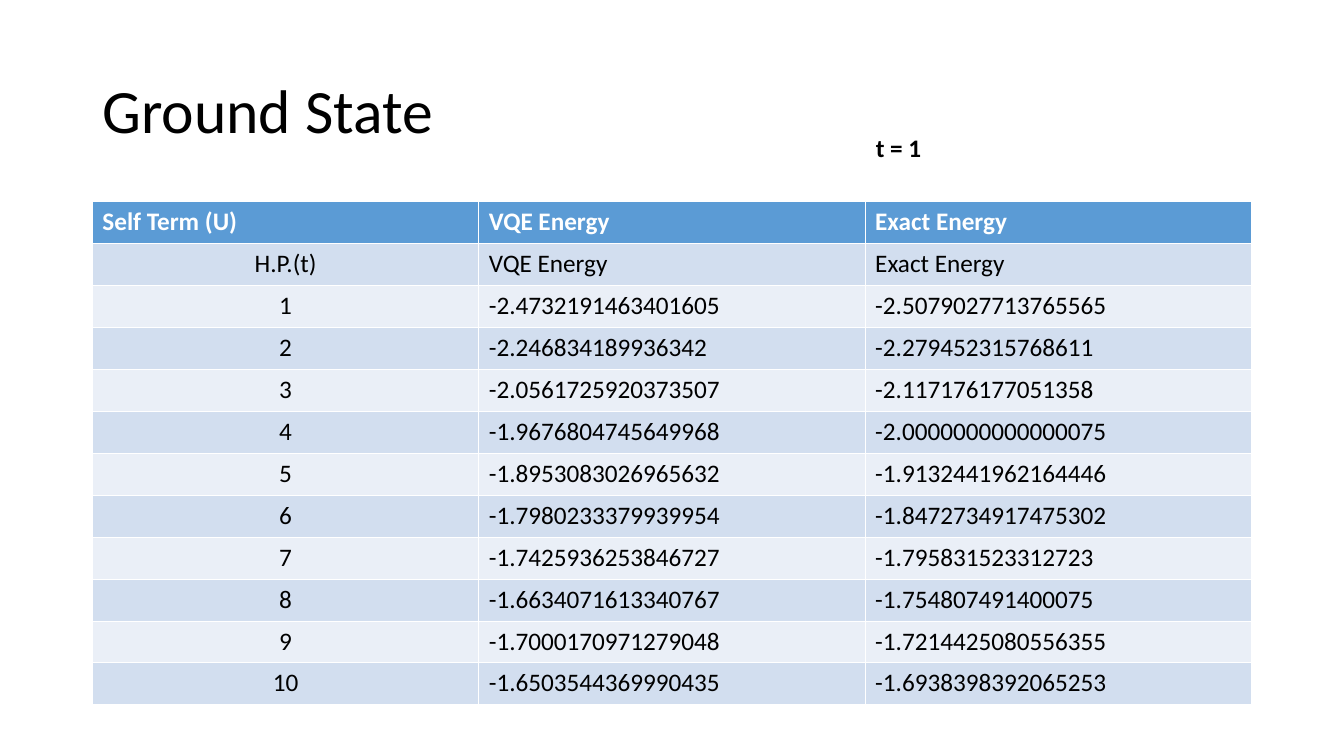
from pptx import Presentation
from pptx import util as u
from pptx.dml.color import RGBColor
from pptx.enum import text

COLORS = {"text": "000000", "header_text": "FFFFFF", "header": "5B9BD5",
          "band_dark": "D2DEEF", "band_light": "EAEFF7"}

ENERGIES = [
    ("Self Term (U)", "VQE Energy", "Exact Energy"),
    ("H.P.(t)", "VQE Energy", "Exact Energy"),
    ("1", "-2.4732191463401605", "-2.5079027713765565"),
    ("2", "-2.246834189936342", "-2.279452315768611"),
    ("3", "-2.0561725920373507", "-2.117176177051358"),
    ("4", "-1.9676804745649968", "-2.0000000000000075"),
    ("5", "-1.8953083026965632", "-1.9132441962164446"),
    ("6", "-1.7980233379939954", "-1.8472734917475302"),
    ("7", "-1.7425936253846727", "-1.795831523312723"),
    ("8", "-1.6634071613340767", "-1.754807491400075"),
    ("9", "-1.7000170971279048", "-1.7214425080556355"),
    ("10", "-1.6503544369990435", "-1.6938398392065253"),
]


class SlideBuilder:
    def __init__(self, s, font="Calibri", size=18):
        self.s, self.font, self.size = s, font, size

    def add_text(self, tf, content, color="text", align=text.PP_ALIGN.LEFT, **fmt):
        p = tf.paragraphs[0]
        p.alignment = align
        r = p.add_run()
        r.text = content
        values = {"name": self.font, "size": u.Pt(self.size), "bold": False, **fmt}
        for name, value in values.items():
            setattr(r.font, name, value)
        r.font.color.rgb = RGBColor.from_string(COLORS[color])
        return p

    def title(self, content, box, size):
        sp = self.s.shapes.title
        sp.left, sp.top, sp.width, sp.height = map(u.Pt, box)
        tf = sp.text_frame
        tf.auto_size = text.MSO_AUTO_SIZE.NONE
        tf.vertical_anchor = text.MSO_ANCHOR.MIDDLE
        self.add_text(tf, content, size=u.Pt(size)).line_spacing = 0.9

    def label(self, content, box):
        tf = self.s.shapes.add_textbox(*map(u.Pt, box)).text_frame
        tf.word_wrap = True
        tf.auto_size = text.MSO_AUTO_SIZE.SHAPE_TO_FIT_TEXT
        self.add_text(tf, content, bold=True)

    def table(self, rows, left, top, col_width, heights):
        """Draw a banded table with a header row and a centred first column."""
        cols = len(rows[0])
        box = (left, top, cols * col_width, sum(heights))
        tbl = self.s.shapes.add_table(len(rows), cols, *map(u.Pt, box)).table
        for col in tbl.columns:
            col.width = u.Pt(col_width)
        for i, (row, height) in enumerate(zip(rows, heights)):
            tbl.rows[i].height = u.Pt(height)
            header = i == 0
            fill = "header" if header else "band_dark" if i % 2 else "band_light"
            for j, content in enumerate(row):
                cell = tbl.cell(i, j)
                cell.fill.solid()
                cell.fill.fore_color.rgb = RGBColor.from_string(COLORS[fill])
                centred = j == 0 and not header
                self.add_text(cell.text_frame, content, bold=header,
                              color="header_text" if header else "text",
                              align=text.PP_ALIGN.CENTER if centred else text.PP_ALIGN.LEFT)


def main():
    prs = Presentation()
    prs.slide_width, prs.slide_height = u.Pt(960), u.Pt(540)
    b = SlideBuilder(prs.slides.add_slide(prs.slide_layouts[5]))
    b.title("Ground State", (66, 28.75, 828, 104.4), 44)
    b.table(ENERGIES, 66, 144, 276, [30] * 10 + [29, 30])
    b.label("t = 1", (618.5, 90.7, 319.7, 29))
    prs.save("out.pptx")


if __name__ == "__main__":
    main()
